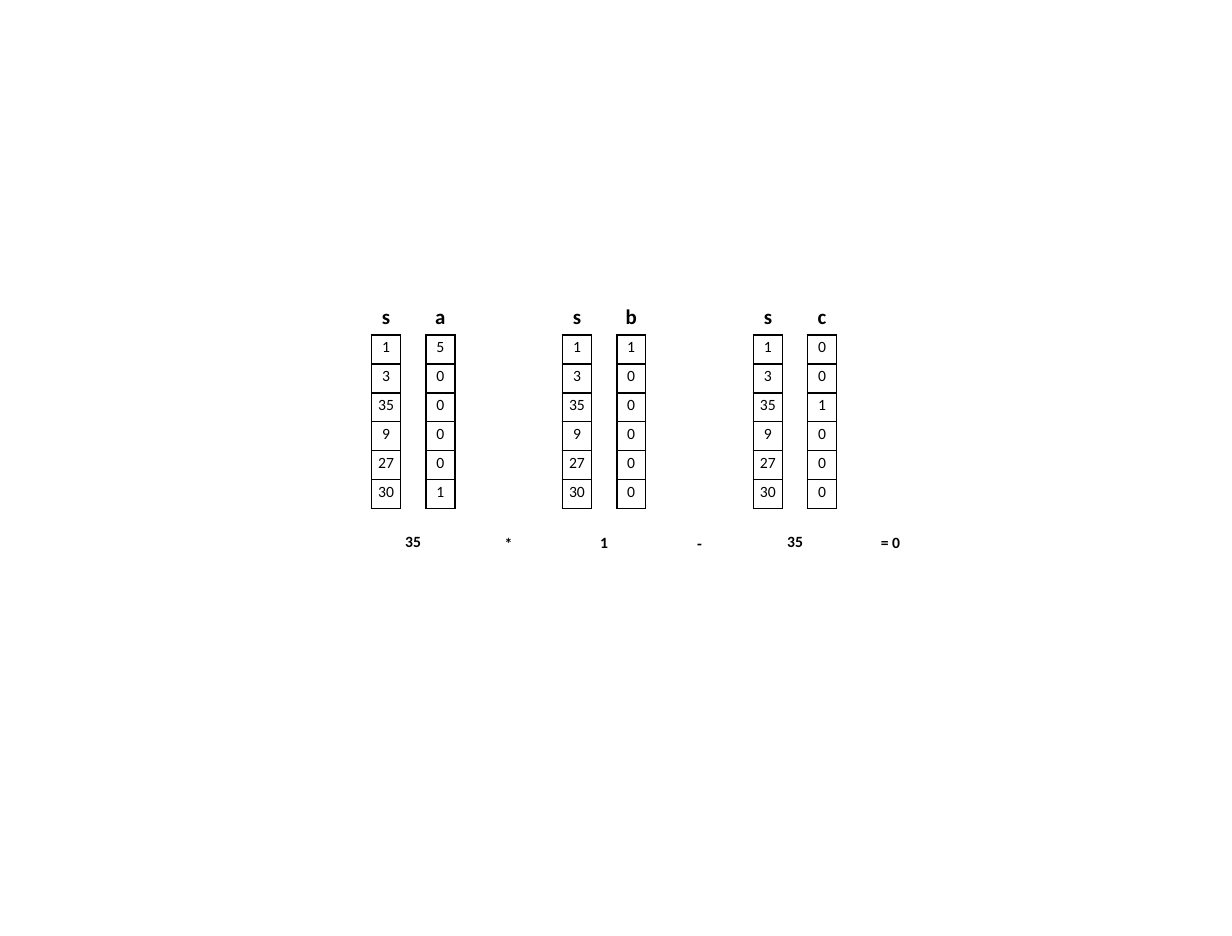
from dataclasses import dataclass

from lxml.etree import SubElement
from pptx import Presentation
from pptx.dml.color import RGBColor as Color
from pptx.enum.text import MSO_AUTO_SIZE as AutoSize, PP_ALIGN as Align
from pptx.oxml.ns import qn
from pptx.util import Pt


@dataclass(frozen=True)
class Theme:
    font: str = "Calibri"
    ink: str = "000000"
    paper: str = "FFFFFF"
    heading_size: float = 24
    body_size: float = 18
    border: float = 2.25


class VectorSlide:
    def __init__(self, presentation, theme):
        self.theme = theme
        self.slide = presentation.slides.add_slide(presentation.slide_layouts[6])

    def set_text(self, frame, text, size, bold):
        paragraph = frame.paragraphs[0]
        paragraph.text = text
        paragraph.alignment = Align.CENTER
        font = paragraph.runs[0].font
        formats = {"name": self.theme.font, "size": Pt(size), "bold": bold}
        for name, value in formats.items():
            setattr(font, name, value)
        font.color.rgb = Color.from_string(self.theme.ink)

    def label(self, text, left, top, width, height, size):
        box = self.slide.shapes.add_textbox(Pt(left), Pt(top), Pt(width), Pt(height))
        formats = {"word_wrap": True, "auto_size": AutoSize.SHAPE_TO_FIT_TEXT}
        for name, value in formats.items():
            setattr(box.text_frame, name, value)
        self.set_text(box.text_frame, text, size, True)

    def outline(self, cell):
        properties = cell._tc.get_or_add_tcPr()
        for side in ("a:lnL", "a:lnR", "a:lnT", "a:lnB"):
            line = SubElement(properties, qn(side), w=str(Pt(self.theme.border)))
            fill = SubElement(line, qn("a:solidFill"))
            SubElement(fill, qn("a:srgbClr"), val=self.theme.ink)

    def vector(self, values, left, top, width, row_height):
        height = row_height * len(values)
        table = self.slide.shapes.add_table(
            len(values), 1, Pt(left), Pt(top), Pt(width), Pt(height)
        ).table
        for name, value in {"first_row": False, "horz_banding": False}.items():
            setattr(table, name, value)
        for row, value in zip(table.rows, values):
            row.height = Pt(row_height)
            cell = row.cells[0]
            self.set_text(cell.text_frame, str(value), self.theme.body_size, False)
            self.outline(cell)
            cell.fill.solid()
            cell.fill.fore_color.rgb = Color.from_string(self.theme.paper)


LEFT = 427.6
TERM_STEP = 109.85
PAIR_STEP = 2 * TERM_STEP
COLUMN_STEP = 62.3
CELL = 33.36
HEADING_TOP, HEADING_HEIGHT = 345.6, 36.35
TABLE_TOP = 385.2
TERM_HEIGHT = 29.1

WITNESS = [1, 3, 35, 9, 27, 30]
SELECTORS = {
    "a": [5, 0, 0, 0, 0, 1],
    "b": [1, 0, 0, 0, 0, 0],
    "c": [0, 0, 1, 0, 0, 0],
}
TERMS = [
    ("35", 608.4),
    ("*", 610.4),
    ("1", 609.8),
    ("-", 610.4),
    ("35", 608.4),
    ("= 0", 609.8),
]


def main():
    presentation = Presentation()
    presentation.slide_width = Pt(1417.68)
    presentation.slide_height = Pt(1077.12)
    theme = Theme()
    page = VectorSlide(presentation, theme)

    for pair, (selector, weights) in enumerate(SELECTORS.items()):
        columns = [("s", WITNESS), (selector, weights)]
        for column, (heading, values) in enumerate(columns):
            left = LEFT + pair * PAIR_STEP + column * COLUMN_STEP
            page.vector(values, left, TABLE_TOP, CELL, CELL)
            page.label(heading, left, HEADING_TOP, CELL, HEADING_HEIGHT, theme.heading_size)

    for index, (term, top) in enumerate(TERMS):
        left = LEFT + index * TERM_STEP
        page.label(term, left, top, COLUMN_STEP + CELL, TERM_HEIGHT, theme.body_size)

    presentation.save("out.pptx")


if __name__ == "__main__":
    main()
